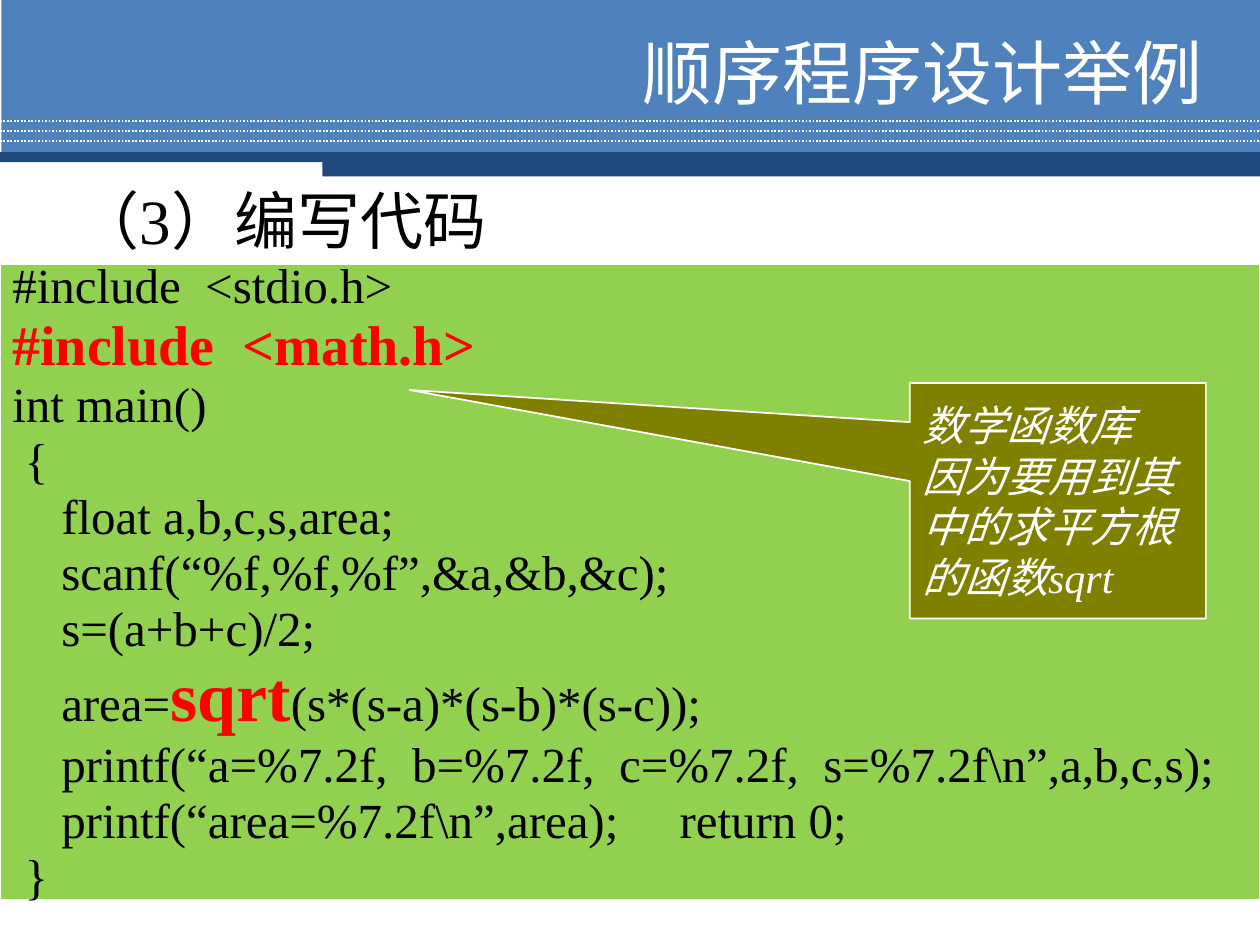
from dataclasses import dataclass

from pptx import Presentation
from pptx import util as u
from pptx.dml import color
from pptx.enum import dml, shapes, text
from pptx.oxml import xmlchemy


@dataclass(frozen=True)
class Theme:
    banner: str = "4F81BD"
    bar: str = "1F497D"
    code_fill: str = "92D050"
    note_fill: str = "808000"
    light: str = "FFFFFF"
    dark: str = "000000"
    accent: str = "FF0000"
    serif: str = "Times New Roman"
    sans: str = "Arial"
    chinese: str = "Noto Sans CJK SC"
    title: int = 40
    heading: int = 36
    code: int = 28
    include: int = 32
    function: int = 40
    note: int = 24


THEME = Theme()
INCLUDE = "#include  <math.h>"
FUNCTION = "sqrt"
EMPHASIS = {INCLUDE: THEME.include, FUNCTION: THEME.function}
CODE = [
    ["#include  <stdio.h>\n", INCLUDE, "\nint main()\n {"],
    [
        "    float a,b,c,s,area;\n    scanf(“%f,%f,%f”,&a,&b,&c);\n    s=(a+b+c)/2;\n    area=",
        FUNCTION,
        "(s*(s-a)*(s-b)*(s-c));\n"
        "    printf(“a=%7.2f,  b=%7.2f,  c=%7.2f,  s=%7.2f\\n”,a,b,c,s);\n"
        "    printf(“area=%7.2f\\n”,area);     return 0;",
    ],
    [" }"],
]


def rgb(value):
    return color.RGBColor.from_string(value)


def lengths(box):
    return [u.Cm(value) for value in box]


def style(font, name, size, tint, bold=False, italic=False):
    font.name, font.size = name, u.Pt(size)
    font.color.rgb = rgb(tint)
    font.bold, font.italic = bold, italic


def add_block(page, box, fill, line_width=None, kind=shapes.MSO_SHAPE.RECTANGLE):
    block = page.shapes.add_shape(kind, *lengths(box))
    block.shadow.inherit = False
    block.fill.solid()
    block.fill.fore_color.rgb = rgb(fill)
    if line_width is None:
        block.line.fill.background()
    else:
        block.line.color.rgb = rgb(THEME.light)
        block.line.width = u.Pt(line_width)
    return block


def prepare(frame):
    frame.word_wrap = True
    frame.vertical_anchor = text.MSO_ANCHOR.MIDDLE
    return frame


def paragraphs(frame, count):
    yield frame.paragraphs[0]
    for _ in range(count - 1):
        yield frame.add_paragraph()


def add_dotted_line(page, left, top, width):
    line = page.shapes.add_connector(
        shapes.MSO_CONNECTOR.STRAIGHT, *lengths((left, top, left + width, top)))
    line.line.color.rgb = rgb(THEME.light)
    line.line.width = u.Pt(1)
    line.line.dash_style = dml.MSO_LINE.ROUND_DOT
    properties = line.element.spPr
    properties.append(xmlchemy.OxmlElement("a:effectLst"))


def add_banner(page, box):
    left, top, width, height = box
    add_block(page, (left + 0.03, top, width - 0.03, 3.12), THEME.banner)
    for index in range(3):
        add_dotted_line(page, left, top + 2.44 + 0.2 * index, width)
    add_block(page, (left, top + 3.07, width, 0.2), THEME.bar)
    add_block(page, (left + 6.5, top + 3.15, width - 6.5, height - 3.15), THEME.bar)


def add_title(page, box, wording):
    frame = prepare(page.shapes.add_textbox(*lengths(box)).text_frame)
    para = frame.paragraphs[0]
    para.text = wording
    para.alignment = text.PP_ALIGN.RIGHT
    style(para.font, THEME.sans, THEME.title, THEME.light)


def add_heading(page, box, number, wording):
    frame = prepare(page.shapes.add_textbox(*lengths(box)).text_frame)
    para = frame.paragraphs[0]
    for part, name in ((number, THEME.serif), (wording, THEME.chinese)):
        span = para.add_run()
        span.text = part
        style(span.font, name, THEME.heading, THEME.dark)


def add_code_spans(para, part):
    size = EMPHASIS.get(part, THEME.code)
    emphasized = part in EMPHASIS
    for index, line in enumerate(part.split("\n")):
        if index:
            para.add_line_break()
        if line:
            span = para.add_run()
            span.text = line
            tint = THEME.accent if emphasized else THEME.dark
            style(span.font, THEME.serif, size, tint, bold=emphasized)


def add_code(page, box):
    frame = prepare(add_block(page, box, THEME.code_fill, 0.75).text_frame)
    for para, parts in zip(paragraphs(frame, len(CODE)), CODE):
        para.alignment = text.PP_ALIGN.LEFT
        para.line_spacing = 0.95
        for part in parts:
            add_code_spans(para, part)


def add_note(page, box, lines):
    note = add_block(page, box, THEME.note_fill, 1, shapes.MSO_SHAPE.RECTANGULAR_CALLOUT)
    note.adjustments[0], note.adjustments[1] = -2.19, -0.47
    frame = prepare(note.text_frame)
    for para, line in zip(paragraphs(frame, len(lines)), lines):
        para.text = line
        para.alignment = text.PP_ALIGN.LEFT
        style(para.font, THEME.serif, THEME.note, THEME.light, italic=True)


def main():
    deck = Presentation()
    deck.slide_width, deck.slide_height = lengths((25.4, 19.05))
    page = deck.slides.add_slide(deck.slide_layouts[6])
    add_banner(page, (0, 0, 25.4, 3.56))
    add_code(page, (0, 5.33, 25.4, 12.8))
    add_note(page, (18.34, 7.72, 5.97, 4.75), ["数学函数库", "因为要用到其中的求平方根的函数sqrt"])
    add_heading(page, (1.3, 3.53, 13.41, 1.78), "（3）", "编写代码")
    add_title(page, (6.91, 0.71, 17.58, 1.47), "顺序程序设计举例")
    deck.save("out.pptx")


if __name__ == "__main__":
    main()
